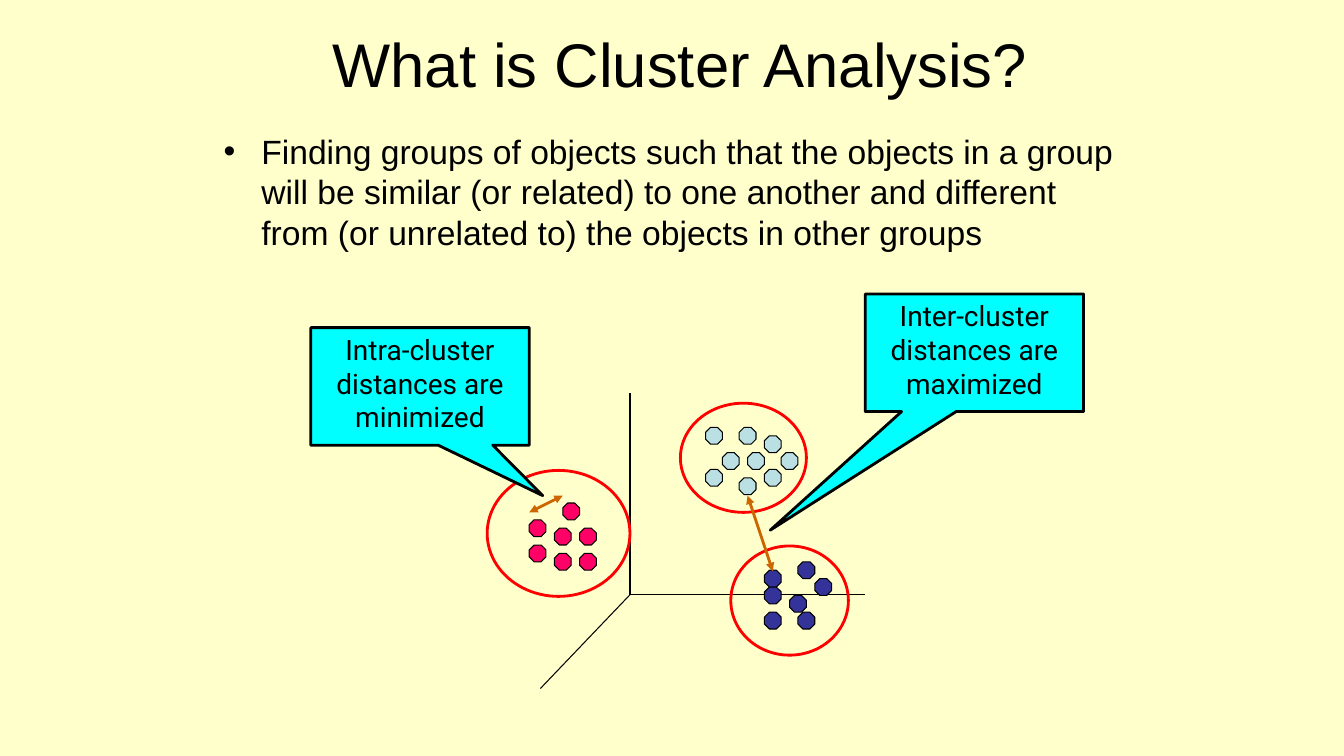
"""Build the cluster analysis slide with its scatter diagram and callouts."""
from dataclasses import dataclass

from lxml.etree import SubElement
from pptx import Presentation
from pptx.dml.color import RGBColor
from pptx.enum.shapes import MSO_CONNECTOR, MSO_SHAPE
from pptx.enum.text import MSO_ANCHOR, PP_ALIGN
from pptx.oxml.ns import qn
from pptx.util import Pt


@dataclass(frozen=True)
class Theme:
    background: str = "FFFFCC"
    ink: str = "000000"
    ring: str = "FF0000"
    arrow: str = "CC6600"
    callout: str = "00FFFF"
    pale: str = "BBE0E3"
    pink: str = "FF0066"
    navy: str = "333399"
    title_size: int = 44
    body_size: int = 24
    callout_size: int = 20
    thin: float = 0.75
    thick: float = 2
    text_font: str = "Arial"
    callout_font: str = "Roboto"


theme = Theme()


def write_text(shape, text, size, font=theme.text_font, align=PP_ALIGN.LEFT,
               anchor=MSO_ANCHOR.TOP, indent=0):
    frame = shape.text_frame
    frame.word_wrap = True
    frame.vertical_anchor = anchor
    paragraph = frame.paragraphs[0]
    paragraph.text = text
    paragraph.alignment = align
    if indent:
        properties = paragraph._p.get_or_add_pPr()
        properties.set("marL", str(Pt(indent)))
        properties.set("indent", str(-Pt(indent)))
        SubElement(properties, qn("a:buFont"), typeface=font)
        SubElement(properties, qn("a:buChar"), char="•")
    paragraph.font.size = Pt(size)
    paragraph.font.name = font
    paragraph.font.color.rgb = RGBColor.from_string(theme.ink)


def draw_outline(shape, colour, width, arrows=False):
    shape.line.color.rgb = RGBColor.from_string(colour)
    shape.line.width = Pt(width)
    if arrows:
        for end in ("a:headEnd", "a:tailEnd"):
            SubElement(shape.line._get_or_add_ln(), qn(end), type="triangle")
    SubElement(shape._element.spPr, qn("a:effectLst"))


presentation = Presentation()
presentation.slide_width = Pt(960)
presentation.slide_height = Pt(540)
slide = presentation.slides.add_slide(presentation.slide_layouts[6])
slide.background.fill.solid()
slide.background.fill.fore_color.rgb = RGBColor.from_string(theme.background)
shapes = slide.shapes

title = shapes.add_textbox(Pt(162), Pt(0), Pt(648), Pt(90))
write_text(title, "What is Cluster Analysis?", theme.title_size,
           align=PP_ALIGN.CENTER, anchor=MSO_ANCHOR.MIDDLE)
definition = shapes.add_textbox(Pt(152.64), Pt(90), Pt(655.2), Pt(102))
write_text(definition, "Finding groups of objects such that the objects in a group will be "
           "similar (or related) to one another and different from (or unrelated to) "
           "the objects in other groups", theme.body_size, indent=27)

origin = (450, 424.8)
for axis_end in ((450, 280.8), (618, 424.8), (386, 491.8)):
    axis = shapes.add_connector(MSO_CONNECTOR.STRAIGHT, *map(Pt, origin + axis_end))
    draw_outline(axis, theme.ink, theme.thin)

grid_step = 6
grid_top = -0.7
point_size = Pt(12)
clusters = {
    theme.pale: [(86, 54), (89, 54), (88, 51), (88, 57), (93, 54), (91, 52), (84, 51),
                 (91, 56), (84, 56)],
    theme.pink: [(63, 62), (66, 63), (66, 66), (69, 63), (67, 60), (69, 66), (63, 65)],
    theme.navy: [(91, 68), (97, 69), (94, 71), (91, 73), (95, 73), (91, 70), (95, 67)],
}
for colour, cells in clusters.items():
    for column, row in cells:
        point = shapes.add_shape(MSO_SHAPE.OCTAGON, Pt(column * grid_step),
                                 Pt(grid_top + row * grid_step), point_size, point_size)
        point.fill.solid()
        point.fill.fore_color.rgb = RGBColor.from_string(colour)
        draw_outline(point, theme.ink, theme.thin)

for box in ((348, 336, 102, 90), (486, 288, 90, 78), (522, 390, 84, 78)):
    ring = shapes.add_shape(MSO_SHAPE.OVAL, *map(Pt, box))
    ring.fill.background()
    draw_outline(ring, theme.ring, theme.thick)

distances = [
    ("Inter-cluster distances are maximized", (552, 408, 534, 354), (618, 210), (-0.935, 1.509)),
    ("Intra-cluster distances are minimized", (378, 366, 402, 354), (222, 234), (0.562, 0.929)),
]
for text, arrow_ends, corner, tip in distances:
    arrow = shapes.add_connector(MSO_CONNECTOR.STRAIGHT, *map(Pt, arrow_ends))
    draw_outline(arrow, theme.arrow, theme.thick, arrows=True)
    callout = shapes.add_shape(MSO_SHAPE.RECTANGULAR_CALLOUT, *map(Pt, corner + (156, 84)))
    callout.adjustments[0], callout.adjustments[1] = tip
    callout.fill.solid()
    callout.fill.fore_color.rgb = RGBColor.from_string(theme.callout)
    draw_outline(callout, theme.ink, theme.thick)
    write_text(callout, text, theme.callout_size, font=theme.callout_font,
               align=PP_ALIGN.CENTER)

presentation.save("out.pptx")
